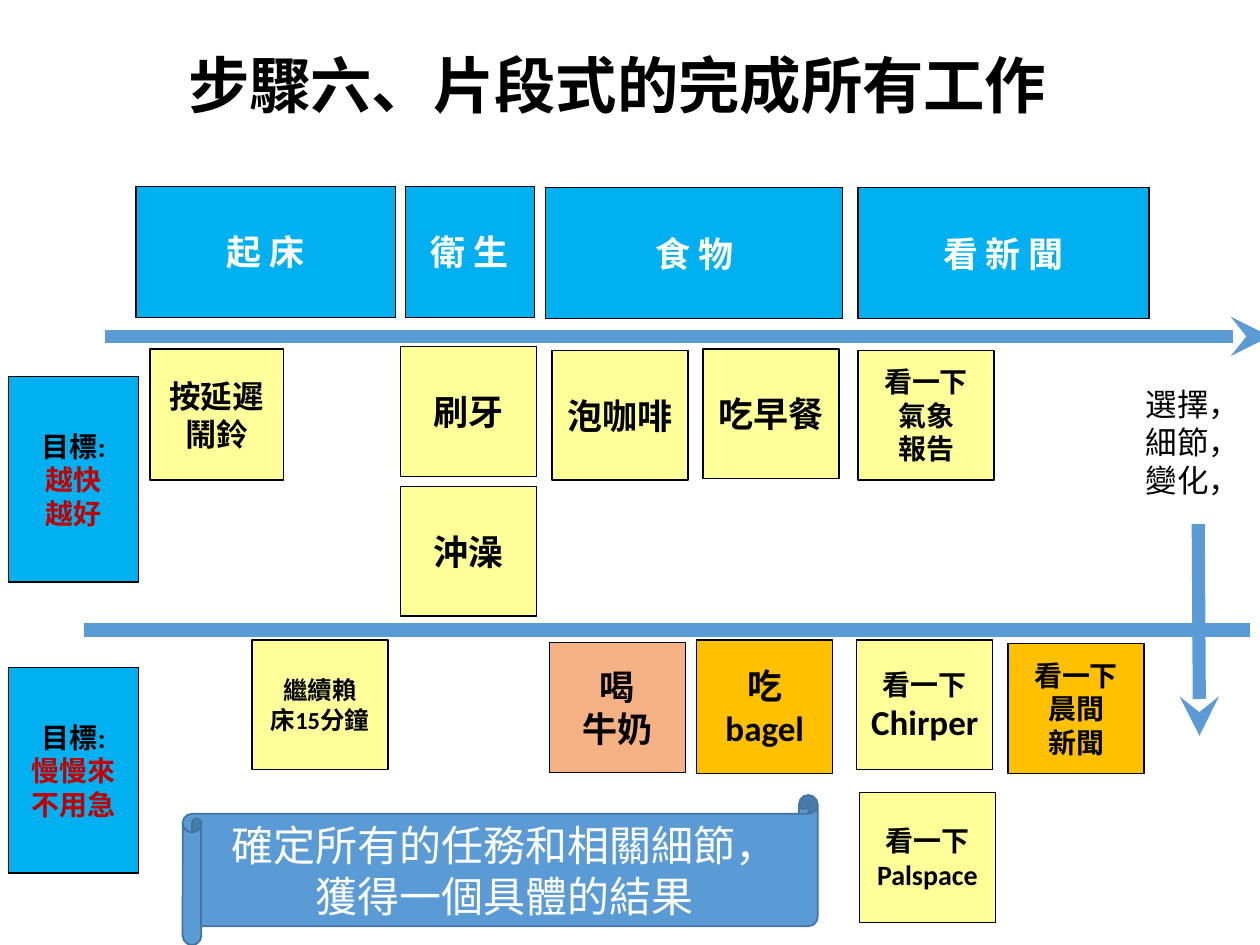
from dataclasses import dataclass
from typing import Optional

from lxml import etree
from pptx import Presentation
from pptx.dml.color import RGBColor
from pptx.enum.lang import MSO_LANGUAGE_ID
from pptx.enum.shapes import MSO_CONNECTOR, MSO_SHAPE
from pptx.enum.text import MSO_ANCHOR, PP_ALIGN
from pptx.oxml.ns import qn
from pptx.util import Inches, Pt

RECT, SCROLL = MSO_SHAPE.RECTANGLE, MSO_SHAPE.HORIZONTAL_SCROLL
STRAIGHT = MSO_CONNECTOR.STRAIGHT
MIDDLE, TOP = MSO_ANCHOR.MIDDLE, MSO_ANCHOR.TOP
CENTER = PP_ALIGN.CENTER
CHINESE = MSO_LANGUAGE_ID.TAIWAN if hasattr(MSO_LANGUAGE_ID, "TAIWAN") else None

COLORS = {
    "black": "000000", "white": "FFFFFF", "red": "C00000", "sky": "00B0F0",
    "blue": "5B9BD5", "navy": "43739E", "yellow": "FFFF99",
    "amber": "FFC000", "peach": "F4B183",
}
LATIN, CJK = "Calibri", "Noto Sans CJK SC"

# Grid of 100 columns by 75 rows
COLUMNS, ROWS = 100, 75
prs = Presentation()
prs.slide_width, prs.slide_height = Inches(10), Inches(7.5)
COL, ROW = prs.slide_width / COLUMNS, prs.slide_height / ROWS
slide = prs.slides.add_slide(prs.slide_layouts[6])


@dataclass
class Span:
    text: str
    size: float = 20
    color: str = "black"
    bold: bool = True
    font: str = LATIN
    break_after: bool = False


Paragraphs = list[list[Span]]


@dataclass
class Box:
    col: float
    row: float
    paragraphs: Paragraphs
    cols: float = 10.8
    rows: float = 10.3
    fill: Optional[str] = "yellow"
    line: str = "black"
    line_width: float = 0.75
    kind: int = RECT
    wrap: bool = True
    anchor: int = MIDDLE


@dataclass
class Axis:
    start: tuple[float, float]
    end: tuple[float, float]
    arrow: bool = True


def rgb(name: str) -> RGBColor:
    return RGBColor.from_string(COLORS[name])


def lines(*texts: str, size: float = 20, **style) -> Paragraphs:
    """One paragraph per text, all in the same style."""
    return [[Span(text, size, **style)] for text in texts]


def write(frame, box: Box) -> None:
    frame.word_wrap = box.wrap
    frame.vertical_anchor = box.anchor
    for index, spans in enumerate(box.paragraphs):
        paragraph = frame.paragraphs[0] if index == 0 else frame.add_paragraph()
        paragraph.alignment = CENTER
        for span in spans:
            run = paragraph.add_run()
            run.text = span.text
            run.font.size, run.font.bold = Pt(span.size), span.bold
            run.font.name = span.font
            run.font.color.rgb = rgb(span.color)
            if CHINESE is not None:
                run.font.language_id = CHINESE
            if span.font == CJK:
                etree.SubElement(run.font._element, qn("a:ea"), typeface=CJK)
            if span.break_after:
                paragraph.add_line_break()


def draw_box(box: Box) -> None:
    place = [int(v) for v in (box.col * COL, box.row * ROW,
                              box.cols * COL, box.rows * ROW)]
    if box.fill is None:
        shape = slide.shapes.add_textbox(*place)
    else:
        shape = slide.shapes.add_shape(box.kind, *place)
        shape.shadow.inherit = False
        shape.fill.solid()
        shape.fill.fore_color.rgb = rgb(box.fill)
        shape.line.color.rgb = rgb(box.line)
        shape.line.width = Pt(box.line_width)
    write(shape.text_frame, box)


def draw_axis(axis: Axis) -> None:
    (x1, y1), (x2, y2) = axis.start, axis.end
    connector = slide.shapes.add_connector(
        STRAIGHT, int(x1 * COL), int(y1 * ROW), int(x2 * COL), int(y2 * ROW))
    connector.line.color.rgb = rgb("blue")
    connector.line.width = Pt(7.5)
    if axis.arrow:
        etree.SubElement(connector.line._get_or_add_ln(), qn("a:tailEnd"),
                         type="stealth")
    etree.SubElement(connector._element.spPr, qn("a:effectLst"))


def goal(row: float, first: str, second: str) -> Box:
    heading = Span("目標:", 16, break_after=True)
    return Box(0.7, row, [[heading, Span(first, 16, "red")],
                          [Span(second, 16, "red")]], 10.3, 16.3, "sky")


def stage(col: float, row: float, cols: float, name: str) -> Box:
    return Box(col, row, lines(name, color="white"), cols, 10.4, "sky")


time_axis = Axis((8.3, 26.7), (100.8, 26.7))
detail_axis = Axis((95.1, 41.6), (95.2, 58.4))
divider = Axis((6.7, 50), (99.2, 50), arrow=False)

# Task notes on both levels
tasks = [
    Box(11.9, 27.7, lines("按延遲鬧鈴", size=18), 10.6, 10.4),
    Box(20, 50.8, lines("繼續賴", "床15分鐘", size=14)),
    Box(31.8, 38.6, lines("沖澡")),
    Box(31.8, 27.5, lines("刷牙")),
    Box(55.8, 27.7, lines("吃早餐")),
    Box(68, 50.8, lines("看一下", size=16) + lines("Chirper")),
    Box(43.8, 27.8, lines("泡咖啡")),
    Box(68.1, 27.8, lines("看一下氣象", "報告", size=16)),
    Box(68.2, 62.9, lines("看一下 Palspace", size=16)),
    Box(55.3, 50.8, lines("吃 bagel"), rows=10.6, fill="amber"),
    Box(80, 51.1, lines("看一下", "晨間", "新聞", size=16), fill="amber"),
    Box(43.6, 51, lines("喝", "牛奶"), fill="peach"),
]

# Title, conclusion and side note
title = Box(4, 0.4, lines("步驟六、片段式的完成所有工作", size=35.1, font=CJK),
            90, 12.5, None)
conclusion = Box(
    14.5, 63.1,
    lines("確定所有的任務和相關細節，獲得一個具體的結果", size=24,
          color="white", bold=False, font=CJK),
    50.4, 11.9, "blue", "navy", 1, SCROLL)
side_note = Box(
    89.9, 30.1,
    lines("選擇，", "細節，", "變化，", size=18, bold=False, font=CJK),
    9.6, 10.1, None, wrap=False, anchor=TOP)

# Goals per level and stages of the morning
goals = [goal(29.9, "越快", "越好"), goal(53, "慢慢來", "不用急")]
stages = [
    stage(10.8, 14.8, 20.6, "起 床"),
    stage(43.3, 14.9, 23.6, "食 物"),
    stage(32.2, 14.8, 10.2, "衛 生"),
    stage(68.1, 14.9, 23.1, "看 新 聞"),
]

# Draw from back to front
draw_axis(time_axis)
for part in [*tasks, title, conclusion]:
    draw_box(part)
draw_axis(detail_axis)
for part in [side_note, *goals]:
    draw_box(part)
draw_axis(divider)
for part in stages:
    draw_box(part)

prs.save("out.pptx")
